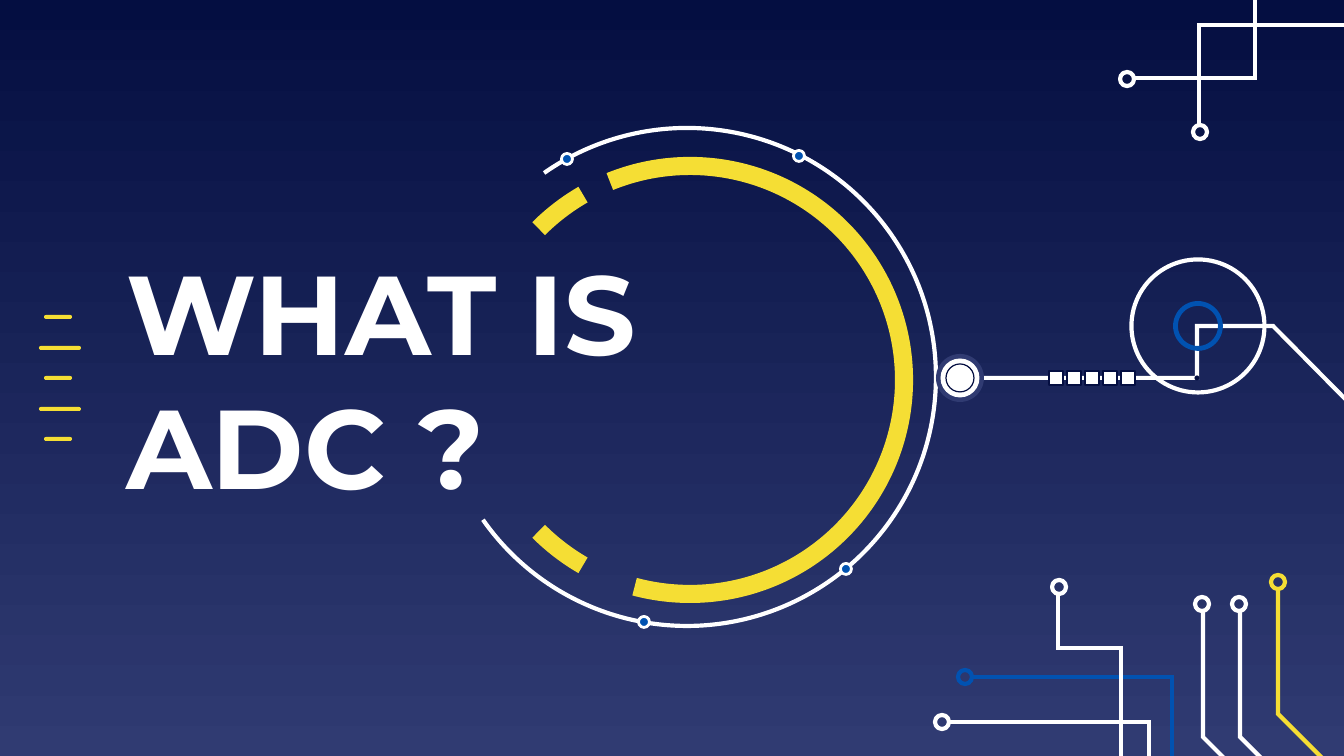
from lxml.etree import SubElement
from pptx import Presentation
from pptx.dml.color import RGBColor as RGB
from pptx.enum.shapes import MSO_SHAPE as Kind
from pptx.enum.text import MSO_ANCHOR, MSO_AUTO_SIZE, PP_ALIGN
from pptx.oxml.ns import qn
from pptx.util import Pt

PX = 914400 / 134.4
NAVY = RGB(0x04, 0x0E, 0x41)
SLATE = RGB(0x30, 0x3B, 0x72)
BLUE = RGB(0x01, 0x52, 0xB1)
GOLD = RGB(0xF5, 0xDE, 0x34)
WHITE = RGB(0xFF, 0xFF, 0xFF)

TITLE = "WHAT IS ADC ?"
TITLE_BOX = (113, 208, 679, 339)

# Circuit traces, bleeding over the edges: colour, ring centre, points
TRACES = [
    (BLUE, (965, 677), [(973, 677), (1172, 677), (1172, 839), (1371, 839)]),
    (WHITE, (1202, 604), [(1203, 612), (1203, 737), (1262, 796), (1262, 894)]),
    (WHITE, (1239, 604), [(1240, 612), (1240, 737), (1299, 796), (1299, 894)]),
    (GOLD, (1278, 582), [(1278, 590), (1278, 714), (1337, 773), (1337, 871)]),
    (WHITE, (1127, 79), [(1135, 78), (1255, 78), (1255, -70)]),
    (WHITE, (1200, 132), [(1199, 124), (1199, 25), (1358, 25), (1358, -70)]),
    (WHITE, (942, 722), [(950, 722), (1149, 722), (1149, 883), (1348, 883)]),
    (WHITE, (1059, 587), [(1058, 595), (1058, 648), (1121, 648), (1121, 798)]),
]
# Dial arcs: centre, radius, start and end in degrees, colour, width
ARCS = [
    ((690, 380), 214, 120, 135, GOLD, 9.69),
    ((690, 380), 214, 248, 105, GOLD, 9.69),
    ((690, 380), 214, 225, 240, GOLD, 9.69),
    ((687, 377), 249, 235, 145, WHITE, 2.25),
]
DOTS = [(567, 159), (799, 156), (846, 569), (644, 622)]
LEAD = [(1363, 417), (1273, 326), (1197, 326), (1197, 378), (972, 378)]
# Discs on the lead: centre, diameter, fill, line colour, width
DISCS = [
    ((1197, 378), 5, NAVY, None, 0),
    ((1198, 326), 133, None, WHITE, 2.25),
    ((1198, 326), 45, None, BLUE, 2.57),
    ((960, 378), 48, SLATE, None, 0),
    ((960, 378), 39, WHITE, None, 0),
    ((960, 378), 28, WHITE, NAVY, 0.66),
]


def px(*nums):
    return [round(n * PX) for n in nums]


def style(shape, fill, line, width):
    shape.shadow.inherit = False
    if fill is None:
        shape.fill.background()
    else:
        shape.fill.solid()
        shape.fill.fore_color.rgb = fill
    if line is None:
        shape.line.fill.background()
    else:
        shape.line.color.rgb = line
        shape.line.width = Pt(width)
    return shape


def add(kind, box, fill=None, line=None, width=0):
    return style(shapes.add_shape(kind, *px(*box)), fill, line, width)


def mid(kind, spot, size, *look):
    x, y = spot
    return add(kind, (x - size / 2, y - size / 2, size, size), *look)


def wire(points, color):
    pen = shapes.build_freeform(*points[0], scale=PX)
    pen.add_line_segments(points[1:], close=False)
    shape = style(pen.convert_to_shape(), None, color, 2.25)
    # Sharp corners
    ln = shape.element.spPr.find(qn("a:ln"))
    SubElement(ln, qn("a:miter")).set("lim", "800000")


prs = Presentation()
prs.slide_width, prs.slide_height = px(1344, 756)
slide = prs.slides.add_slide(prs.slide_layouts[5])
shapes = slide.shapes

# Background
back = slide.background.fill
back.gradient()
back.gradient_angle = 270
for stop, color in zip(back.gradient_stops, (NAVY, SLATE)):
    stop.color.rgb = color

# Title
title = shapes.title
title.left, title.top, title.width, title.height = px(*TITLE_BOX)
frame = title.text_frame
frame.text = TITLE
frame.word_wrap = True
frame.auto_size = MSO_AUTO_SIZE.NONE
frame.vertical_anchor = MSO_ANCHOR.MIDDLE
frame.margin_left = frame.margin_right = px(13)[0]
frame.margin_top = frame.margin_bottom = px(13)[0]
para = frame.paragraphs[0]
para.alignment = PP_ALIGN.LEFT
font = para.font
font.name, font.size, font.bold = "Montserrat", Pt(60), True
font.color.rgb = WHITE

# Dashes at the left, short and long by turns
for i in range(5):
    left, wide = ((44, 28), (39, 42))[i % 2]
    top = 315 + (i * 61 + 1) // 2
    dash = add(Kind.ROUNDED_RECTANGLE, (left, top, wide, 4), GOLD)
    dash.adjustments[0] = 0.5

# Circuit traces
for color, ring, points in TRACES:
    wire(points, color)
    mid(Kind.OVAL, ring, 14, None, color, 2.25)

# Dial; an adjustment of 0.6 is one degree
for spot, radius, start, end, color, width in ARCS:
    arc = mid(Kind.ARC, spot, 2 * radius, None, color, width)
    arc.adjustments[0] = start * 0.6
    arc.adjustments[1] = end * 0.6
for spot in DOTS:
    mid(Kind.OVAL, spot, 11, BLUE, WHITE, 1.5)

# Lead with its discs and row of squares
wire(LEAD, WHITE)
for spot, size, *look in DISCS:
    mid(Kind.OVAL, spot, size, *look)
for i in range(5):
    mid(Kind.RECTANGLE, (1056 + 18 * i, 378), 14, WHITE, NAVY, 0.66)

prs.save("out.pptx")
